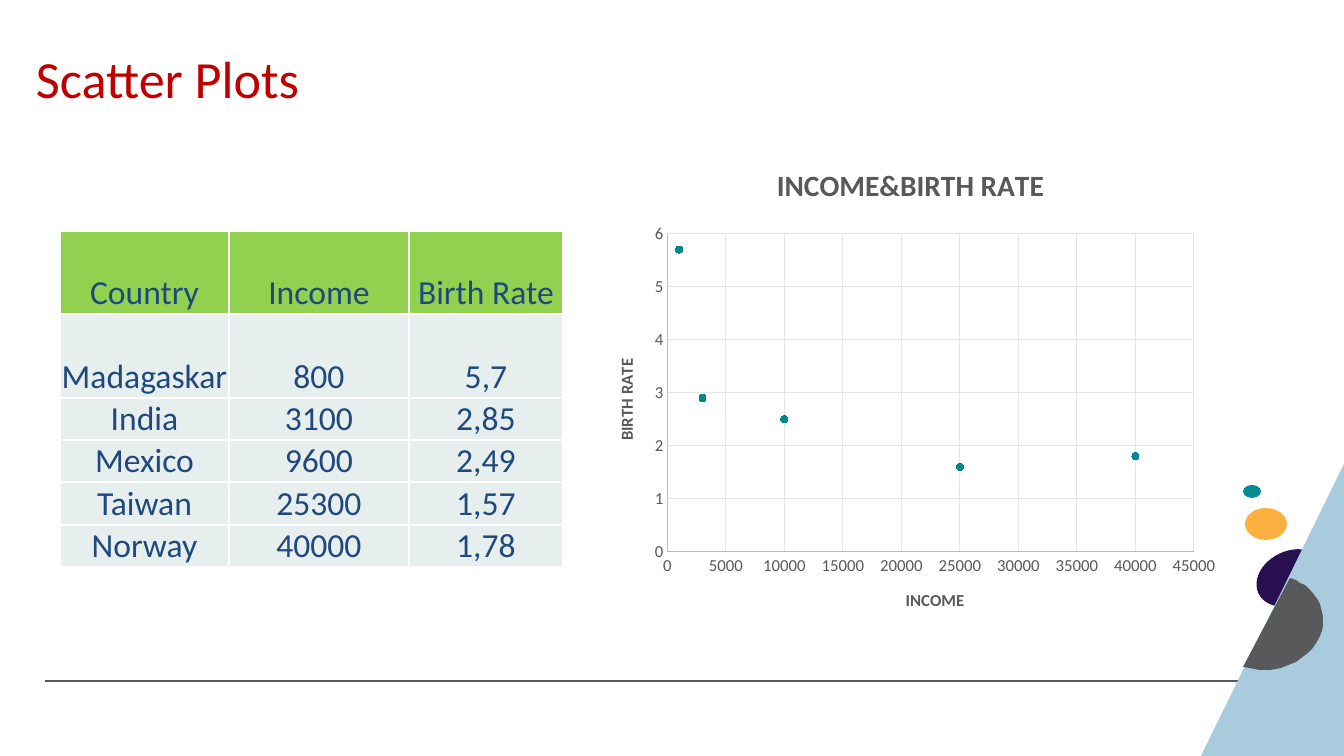
import lxml.etree
import pptx
import pptx.chart.data
import pptx.dml.color
import pptx.enum.chart
import pptx.enum.shapes
import pptx.enum.text
import pptx.oxml
import pptx.oxml.ns
import pptx.util

EMU_PER_PX = 12192000 / 1344
FONT = "Calibri"
COLORS = {
    "title": "C00000", "text": "1F497D", "header": "92D050", "body": "E7EEEE",
    "border": "FFFFFF", "gray": "58595B", "purple": "281051", "orange": "FBB040",
    "teal": "008E94", "sky": "A8CCDD", "marker": "00888D", "axis": "BCBCBE",
    "grid": "E6E6E7",
}
HEADER = ["Country", "Income", "Birth Rate"]
COUNTRIES = [("Madagaskar", 800, 5.7), ("India", 3100, 2.85), ("Mexico", 9600, 2.49),
             ("Taiwan", 25300, 1.57), ("Norway", 40000, 1.78)]
CHART_POINTS = [(1000, 5.7), (3000, 2.9), (10000, 2.5), (25000, 1.6), (40000, 1.8)]
COLUMN_WIDTHS = [169, 180, 154]
ROW_HEIGHTS = [83, 84, 42, 42, 43, 42]
DOME = [(1290, 578), (1296, 580), (1300, 583), (1305, 585), (1308, 588), (1312, 592),
        (1315, 596), (1318, 600), (1320, 604), (1321, 608), (1322, 612), (1323, 617),
        (1323, 622), (1323, 626), (1322, 631), (1320, 636), (1318, 640), (1315, 645),
        (1312, 649), (1308, 653), (1304, 656), (1300, 659), (1296, 662), (1291, 664),
        (1286, 666), (1281, 668), (1276, 669), (1270, 670), (1265, 670), (1259, 670),
        (1254, 669), (1249, 668), (1243, 667)]


def px(*lengths):
    """Turn pixel lengths into a list of EMU."""
    return [pptx.util.Emu(round(length * EMU_PER_PX)) for length in lengths]


def rgb(color):
    return pptx.dml.color.RGBColor.from_string(COLORS[color])


def style_font(font, size, color, bold=False):
    font.name = FONT
    font.size = pptx.util.Pt(size)
    font.bold = bold
    font.color.rgb = rgb(color)


def paint(shape, color):
    shape.shadow.inherit = False
    shape.fill.solid()
    shape.fill.fore_color.rgb = rgb(color)
    shape.line.fill.background()


def add_preset(slide, kind, box, color, rotation=0):
    shape = slide.shapes.add_shape(kind, *px(*box))
    shape.rotation = rotation
    paint(shape, color)
    return shape


def add_rule(slide, left, right, y):
    rule = slide.shapes.add_connector(
        pptx.enum.shapes.MSO_CONNECTOR.STRAIGHT, *px(left, y, right, y))
    rule.line.color.rgb = rgb("gray")
    rule.line.width = pptx.util.Pt(0.75)
    lxml.etree.SubElement(rule.element.spPr, pptx.oxml.ns.qn("a:effectLst"))


def add_corner_art(slide):
    shapes = pptx.enum.shapes.MSO_SHAPE
    add_preset(slide, shapes.OVAL, (1264, 542, 54, 72), "purple", 65)
    add_preset(slide, shapes.OVAL, (1245, 508, 42, 32), "orange")
    add_preset(slide, shapes.OVAL, (1243, 485, 18, 13), "teal")
    triangle = add_preset(slide, shapes.RIGHT_TRIANGLE, (1201, 464, 143, 292), "sky")
    triangle.element.spPr.xfrm.set("flipH", "1")
    outline = slide.shapes.build_freeform(*DOME[0], scale=EMU_PER_PX)
    outline.add_line_segments(DOME[1:], close=True)
    paint(outline.convert_to_shape(), "gray")


def set_title(slide, text):
    title = slide.shapes.title
    title.left, title.top, title.width, title.height = px(36, 58, 1272, 53)
    frame = title.text_frame
    frame.text = text
    frame.word_wrap = True
    frame.margin_left = frame.margin_right = frame.margin_top = frame.margin_bottom = 0
    frame.vertical_anchor = pptx.enum.text.MSO_ANCHOR.TOP
    paragraph = frame.paragraphs[0]
    paragraph.alignment = pptx.enum.text.PP_ALIGN.LEFT
    paragraph.line_spacing = 0.8
    style_font(paragraph.runs[0].font, 37.3, "title")


def add_borders(cell):
    properties = cell._tc.get_or_add_tcPr()
    for position, side in enumerate(("lnL", "lnR", "lnT", "lnB")):
        properties.insert(position, pptx.oxml.parse_xml(
            f'<a:{side} {pptx.oxml.ns.nsdecls("a")} w="12700"><a:solidFill>'
            f'<a:srgbClr val="{COLORS["border"]}"/></a:solidFill></a:{side}>'))


def fill_cell(cell, text, color):
    cell.text = text
    cell.margin_left, cell.margin_right, cell.margin_top, cell.margin_bottom = px(1, 1, 1, 0)
    cell.vertical_anchor = pptx.enum.text.MSO_ANCHOR.BOTTOM
    cell.fill.solid()
    cell.fill.fore_color.rgb = rgb(color)
    paragraph = cell.text_frame.paragraphs[0]
    paragraph.alignment = pptx.enum.text.PP_ALIGN.CENTER
    style_font(paragraph.runs[0].font, 24, "text")
    add_borders(cell)


def add_country_table(slide):
    rows = [HEADER] + [[str(value).replace(".", ",") for value in country]
                       for country in COUNTRIES]
    table = slide.shapes.add_table(
        len(rows), len(HEADER),
        *px(60, 231, sum(COLUMN_WIDTHS), sum(ROW_HEIGHTS))).table
    for column, width in zip(table.columns, px(*COLUMN_WIDTHS)):
        column.width = width
    for row, height in zip(table.rows, px(*ROW_HEIGHTS)):
        row.height = height
    for r, texts in enumerate(rows):
        for c, text in enumerate(texts):
            fill_cell(table.cell(r, c), text, "body" if r else "header")


def style_axis(axis, title, maximum, step):
    axis.minimum_scale, axis.maximum_scale, axis.major_unit = 0, maximum, step
    axis.major_tick_mark = axis.minor_tick_mark = pptx.enum.chart.XL_TICK_MARK.NONE
    axis.has_major_gridlines = True
    for line, color in ((axis.format.line, "axis"),
                        (axis.major_gridlines.format.line, "grid")):
        line.color.rgb = rgb(color)
        line.width = pptx.util.Pt(0.75)
    style_font(axis.tick_labels.font, 12, "gray")
    axis.tick_labels.number_format = "General"
    axis.tick_labels.number_format_is_linked = False
    set_chart_text(axis.axis_title, title, 12)


def set_chart_text(heading, text, size):
    heading.text_frame.text = text
    style_font(heading.text_frame.paragraphs[0].runs[0].font, size, "gray", bold=True)


def place_plot(chart, x, y, w, h):
    """Fix the inner plot area, as fractions of the chart."""
    plot_area = chart._chartSpace.chart.plotArea
    for layout in plot_area.findall(pptx.oxml.ns.qn("c:layout")):
        plot_area.remove(layout)
    sizes = "".join(f'<c:{key} val="{value}"/>'
                    for key, value in (("x", x), ("y", y), ("w", w), ("h", h)))
    plot_area.insert(0, pptx.oxml.parse_xml(
        f'<c:layout {pptx.oxml.ns.nsdecls("c")}><c:manualLayout>'
        '<c:layoutTarget val="inner"/><c:xMode val="edge"/><c:yMode val="edge"/>'
        f'{sizes}</c:manualLayout></c:layout>'))


def add_birth_rate_chart(slide):
    data = pptx.chart.data.XyChartData()
    points = data.add_series("Series 1")
    for income, birth_rate in CHART_POINTS:
        points.add_data_point(income, birth_rate)
    chart = slide.shapes.add_chart(
        pptx.enum.chart.XL_CHART_TYPE.XY_SCATTER, *px(594, 144, 633, 488), data).chart
    style_font(chart.font, 10, "text")
    chart.has_legend = False
    chart.has_title = True
    set_chart_text(chart.chart_title, "INCOME&BIRTH RATE", 21)
    chart.plots[0].vary_by_categories = False
    series = chart.plots[0].series[0]
    series.smooth = False
    series.format.line.fill.background()
    series.marker.style = pptx.enum.chart.XL_MARKER_STYLE.CIRCLE
    series.marker.size = 5
    series.marker.format.fill.solid()
    series.marker.format.fill.fore_color.rgb = rgb("marker")
    series.marker.format.line.fill.background()
    style_axis(chart.category_axis, "INCOME", 45000, 5000)
    style_axis(chart.value_axis, "BIRTH RATE", 6, 1)
    place_plot(chart, 0.116, 0.184, 0.832, 0.652)


def main():
    deck = pptx.Presentation()
    deck.slide_width, deck.slide_height = px(1344, 756)
    slide = deck.slides.add_slide(deck.slide_layouts[5])
    add_rule(slide, 45, 1298, 681)
    add_corner_art(slide)
    set_title(slide, "Scatter Plots")
    add_country_table(slide)
    add_birth_rate_chart(slide)
    deck.save("out.pptx")


if __name__ == "__main__":
    main()
